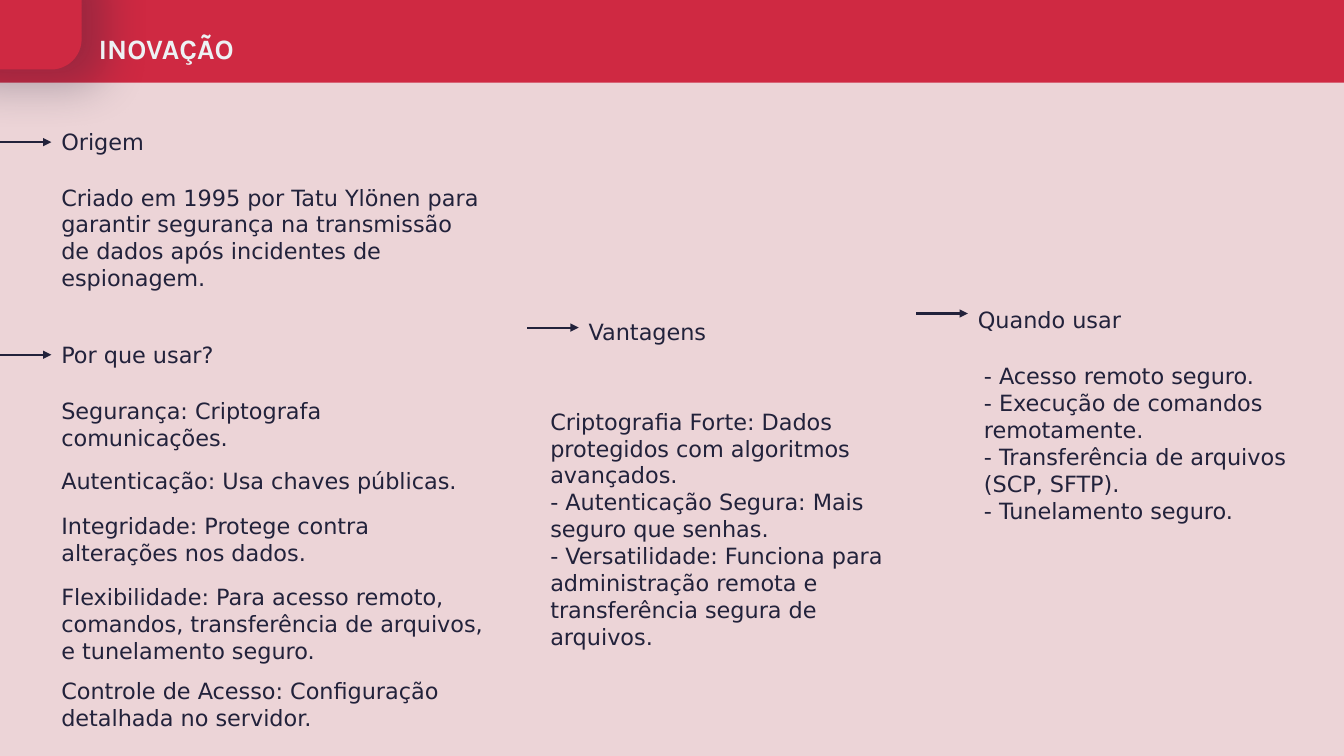
from lxml import etree
from pptx import Presentation
from pptx.dml.color import RGBColor
from pptx.enum.shapes import MSO_CONNECTOR, MSO_SHAPE
from pptx.enum.text import MSO_ANCHOR, MSO_AUTO_SIZE, PP_ALIGN
from pptx.oxml.ns import qn
from pptx.util import Inches, Pt

STRAIGHT = MSO_CONNECTOR.STRAIGHT
RECTANGLE, ROUNDED = MSO_SHAPE.RECTANGLE, MSO_SHAPE.ROUNDED_RECTANGLE
TOP, MIDDLE = MSO_ANCHOR.TOP, MSO_ANCHOR.MIDDLE
FIXED, GROW = MSO_AUTO_SIZE.NONE, MSO_AUTO_SIZE.SHAPE_TO_FIT_TEXT
LEFT, CENTER = PP_ALIGN.LEFT, PP_ALIGN.CENTER

RED, PANEL, INK, WHITE = "CF2942", "F2F2F2", "22223B", "EDF2F4"
BODY = {"name": "DejaVu Sans", "size": Pt(16), "bold": False}
TITLE = {"name": "Karla", "size": Pt(20), "bold": True}
LINE_HEIGHT = 0.55
ARROW_LENGTH = 0.51

# left, top, width, arrow height, text
HEADINGS = [
    (0.51, 1.13, 1.5, 1.41, "Origem"),
    (0.51, 3.24, 1.77, 3.52, "Por que usar?"),
    (5.74, 3.01, 1.5, 3.25, "Vantagens"),
    (9.6, 2.9, 1.75, 3.11, "Quando usar"),
]

# left, top, width, paragraphs
DETAILS = [
    (0.51, 2.08, 4.42, ["Criado em 1995 por Tatu Ylönen para garantir segurança na "
                        "transmissão de dados após incidentes de espionagem."]),
    (0.51, 3.93, 4.42, ["Segurança: Criptografa comunicações."]),
    (0.51, 4.49, 4.42, ["Autenticação: Usa chaves públicas."]),
    (0.51, 5.07, 4.42, ["Integridade: Protege contra alterações nos dados."]),
    (0.51, 5.91, 4.42, ["Flexibilidade: Para acesso remoto, comandos, transferência "
                        "de arquivos, e tunelamento seguro."]),
    (0.51, 6.71, 4.42, ["Controle de Acesso: Configuração detalhada no servidor."]),
    (5.36, 4.97, 3.7, [
        "Criptografia Forte: Dados protegidos com algoritmos avançados.",
        "- Autenticação Segura: Mais seguro que senhas.",
        "- Versatilidade: Funciona para administração remota e transferência "
        "segura de arquivos.",
    ]),
    (9.66, 4.12, 3.28, [
        "- Acesso remoto seguro.",
        "- Execução de comandos remotamente.",
        "- Transferência de arquivos (SCP, SFTP).",
        "- Tunelamento seguro.",
    ]),
]


def color(value):
    return RGBColor.from_string(value)


def add_element(parent, tag, **attributes):
    return etree.SubElement(parent, qn(tag), attributes)


class SlideBuilder:
    def __init__(self, slide, background):
        self.slide = slide
        slide.background.fill.solid()
        slide.background.fill.fore_color.rgb = color(background)

    def block(self, kind, left, top, width, height, fill):
        shape = self.slide.shapes.add_shape(
            kind, Inches(left), Inches(top), Inches(width), Inches(height))
        shape.shadow.inherit = False
        shape.fill.solid()
        shape.fill.fore_color.rgb = color(fill)
        shape.line.fill.background()
        return shape

    def set_opacity(self, shape, percent):
        fill_color = shape.fill._xPr.find(qn("a:solidFill"))[0]
        add_element(fill_color, "a:alpha", val=str(percent * 1000))

    def cast_shadow(self, shape, value, opacity, blur, distance, angle):
        """Blur and distance are in points, opacity in percent, angle in degrees."""
        effects = shape._element.spPr.find(qn("a:effectLst"))
        shadow = add_element(effects, "a:outerShdw", blurRad=str(Pt(blur)),
                             dist=str(Pt(distance)), dir=str(angle * 60000),
                             algn="tl", rotWithShape="0")
        shadow_color = add_element(shadow, "a:srgbClr", val=value)
        add_element(shadow_color, "a:alpha", val=str(opacity * 1000))

    def text(self, left, top, width, paragraphs, height=LINE_HEIGHT, style=BODY,
             text_color=INK, anchor=MIDDLE, alignment=LEFT, auto_size=FIXED):
        box = self.slide.shapes.add_textbox(
            Inches(left), Inches(top), Inches(width), Inches(height))
        frame = box.text_frame
        frame.word_wrap = True
        frame.auto_size = auto_size
        frame.vertical_anchor = anchor
        frame.text = "\n".join(paragraphs)
        for paragraph in frame.paragraphs:
            paragraph.alignment = alignment
            font = paragraph.runs[0].font
            for name, value in style.items():
                setattr(font, name, value)
            font.color.rgb = color(text_color)

    def arrow(self, left, top, length):
        connector = self.slide.shapes.add_connector(
            STRAIGHT, Inches(left), Inches(top), Inches(left + length), Inches(top))
        connector.line.color.rgb = color(INK)
        connector.line.width = Pt(1.5)
        add_element(connector.line._get_or_add_ln(), "a:tailEnd", type="triangle")
        add_element(connector._element.spPr, "a:effectLst")


def main():
    presentation = Presentation()
    presentation.slide_width = Inches(13.33)
    presentation.slide_height = Inches(7.5)
    slide = presentation.slides.add_slide(presentation.slide_layouts[6])
    builder = SlideBuilder(slide, RED)

    panel = builder.block(RECTANGLE, -0.66, 0.82, 14.74, 7.34, PANEL)
    builder.set_opacity(panel, 85)
    corner = builder.block(ROUNDED, -0.66, -0.57, 1.47, 1.26, RED)
    corner.adjustments[0] = 0.24
    builder.cast_shadow(corner, INK, opacity=30, blur=32, distance=21, angle=36)
    builder.text(0.8, 0.26, 1.7, ["INOVAÇÃO"], height=0.44, style=TITLE,
                 text_color=WHITE, anchor=TOP, alignment=CENTER, auto_size=GROW)

    for left, top, width, arrow_top, heading in HEADINGS:
        builder.text(left, top, width, [heading])
        builder.arrow(left - ARROW_LENGTH, arrow_top, ARROW_LENGTH)
    for left, top, width, paragraphs in DETAILS:
        builder.text(left, top, width, paragraphs)

    presentation.save("out.pptx")


if __name__ == "__main__":
    main()
